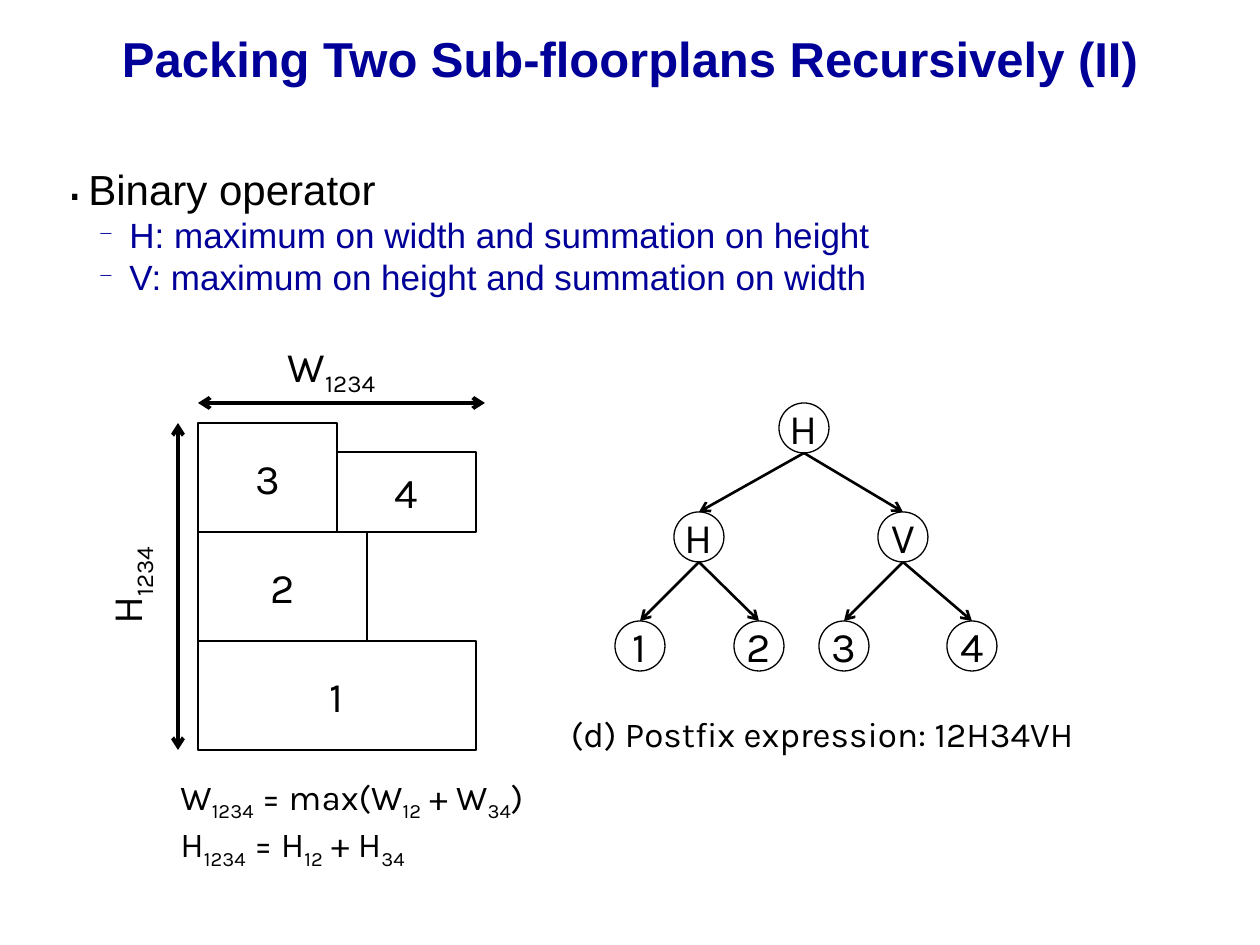
from lxml.etree import SubElement
from pptx import Presentation
from pptx.dml.color import RGBColor
from pptx.enum.shapes import MSO_CONNECTOR, MSO_SHAPE
from pptx.enum.text import MSO_ANCHOR as Anchor, PP_ALIGN as Align
from pptx.oxml.ns import qn
from pptx.util import Emu, Pt

EMU_PER_PX = 914400 / 126
BLACK = RGBColor(0x00, 0x00, 0x00)
NAVY = RGBColor(0x00, 0x00, 0x99)

TITLE = {"name": "Arial", "size": Pt(28), "bold": True, "color": NAVY}
TOPIC = {"name": "Arial", "size": Pt(24), "color": BLACK}
DETAIL = {"name": "Arial", "size": Pt(20), "color": NAVY}
LABEL = {"name": "Karla", "size": Pt(24), "color": BLACK}
FORMULA = {"name": "Karla", "size": Pt(20), "color": BLACK}


def px(value):
    return Emu(round(value * EMU_PER_PX))


def set_font(font, style):
    for key, value in style.items():
        if key == "color":
            font.color.rgb = value
        else:
            setattr(font, key, value)


def write(paragraph, text, style, align=Align.LEFT):
    """Write text in which every second part between underscores is a subscript."""
    paragraph.alignment = align
    for index, part in enumerate(text.split("_")):
        if part:
            run = paragraph.add_run()
            run.text = part
            set_font(run.font, style)
            if index % 2:
                run._r.get_or_add_rPr().set("baseline", "-25000")


def add_text(slide, box, lines, style, align=Align.LEFT, anchor=Anchor.TOP):
    shape = slide.shapes.add_textbox(*map(px, box))
    frame = shape.text_frame
    frame.word_wrap = True
    frame.vertical_anchor = anchor
    for index, line in enumerate(lines):
        paragraph = frame.add_paragraph() if index else frame.paragraphs[0]
        write(paragraph, line, style, align)
    return shape


def add_outlined(slide, kind, box, text):
    shape = slide.shapes.add_shape(kind, *map(px, box))
    shape.shadow.inherit = False
    shape.fill.background()
    shape.line.color.rgb = BLACK
    shape.line.width = Pt(0.75)
    frame = shape.text_frame
    frame.word_wrap = False
    frame.vertical_anchor = Anchor.MIDDLE
    write(frame.paragraphs[0], text, LABEL, Align.CENTER)
    return shape


def add_arrow(slide, start, end, width, ends=("tailEnd",)):
    connector = slide.shapes.add_connector(
        MSO_CONNECTOR.STRAIGHT, *map(px, (*start, *end)))
    connector.line.color.rgb = BLACK
    connector.line.width = Pt(width)
    for tag in ends:
        SubElement(connector.line._get_or_add_ln(), qn(f"a:{tag}"), type="arrow")
    SubElement(connector._element.spPr, qn("a:effectLst"))
    return connector


def add_bullet(paragraph, character, percent, margin, indent):
    properties = paragraph._p.get_or_add_pPr()
    properties.set("marL", str(px(margin)))
    properties.set("indent", str(px(indent)))
    SubElement(properties, qn("a:buSzPct"), val=str(percent * 1000))
    SubElement(properties, qn("a:buChar"), char=character)


def add_operator_list(slide, box):
    frame = add_text(slide, box, [], TOPIC).text_frame
    topic = frame.paragraphs[0]
    add_bullet(topic, "․", 120, 22, -22)
    write(topic, "Binary operator", TOPIC)
    for text in ("H: maximum on width and summation on height",
                 "V: maximum on height and summation on width"):
        paragraph = frame.add_paragraph()
        paragraph.level = 1
        add_bullet(paragraph, "─", 55, 63, -31)
        write(paragraph, text, DETAIL)


def add_floorplan(slide, box):
    left, top, width, height = box
    row = height / 3
    half = width / 2
    # Modules, stacked in three rows
    for text, x, y, w, h in (("1", 0, 2 * row, width, row),
                             ("2", 0, row, 169, row),
                             ("3", 0, 0, half, row),
                             ("4", half, row - 80, half, 80)):
        add_outlined(slide, MSO_SHAPE.RECTANGLE, (left + x, top + y, w, h), text)
    # Overall dimensions
    both = ("headEnd", "tailEnd")
    add_arrow(slide, (left - 20, top), (left - 20, top + height), 2.25, both)
    add_arrow(slide, (left, top - 20), (left + 287, top - 20), 2.25, both)
    height_label = add_text(slide, (left - 151, top + 128, 164, 69),
                            ["H_1234_"], LABEL, Align.CENTER)
    height_label.rotation = 270
    add_text(slide, (left - 20, top - 89, 307, 69), ["W_1234_"], LABEL, Align.CENTER)
    # Resulting size
    add_text(slide, (left - 30, top + height + 19, 446, 108),
             ["W_1234_ = max(W_12_ + W_34_)", "H_1234_ = H_12_ + H_34_"], FORMULA)


def add_slicing_tree(slide, box):
    left, top, width, height = box
    size = 50
    step = (height - size) / 2
    # text, centre x, depth, index of the parent
    nodes = (("H", 189, 0, None), ("H", 84, 1, 0), ("V", 288, 1, 0),
             ("1", 25, 2, 1), ("2", 144, 2, 1),
             ("3", 229, 2, 2), ("4", width - 25, 2, 2))
    for text, centre, depth, parent in nodes:
        x, y = left + centre, top + depth * step
        node = add_outlined(slide, MSO_SHAPE.OVAL, (x - size / 2, y, size, size), text)
        if parent is not None:
            start = (left + nodes[parent][1], y - step + size)
            add_arrow(slide, start, (x, y), 1.5).end_connect(node, 0)
    add_text(slide, (left - 95, top + height + 35, 605, 54),
             ["(d) Postfix expression: 12H34VH"], FORMULA, Align.CENTER)


def main():
    presentation = Presentation()
    presentation.slide_width, presentation.slide_height = px(1260), px(945)
    slide = presentation.slides.add_slide(presentation.slide_layouts[6])
    add_text(slide, (0, 0, 1260, 116), ["Packing Two Sub-floorplans Recursively (II)"],
             TITLE, Align.CENTER, Anchor.MIDDLE)
    add_operator_list(slide, (54, 157, 1150, 633))
    add_floorplan(slide, (198, 423, 278, 327))
    add_slicing_tree(slide, (615, 403, 382, 268))
    presentation.save("out.pptx")


if __name__ == "__main__":
    main()
